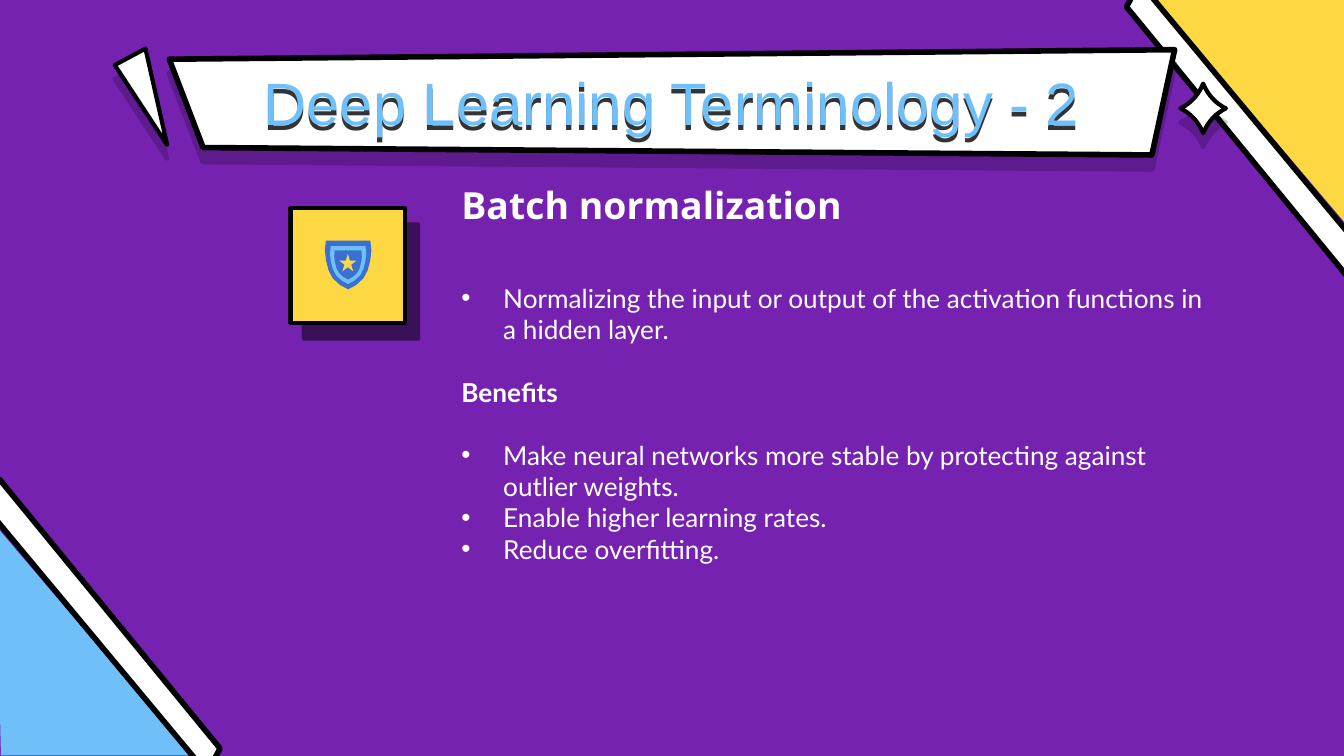
from lxml import etree
from pptx import Presentation
from pptx import util as u
from pptx.dml.color import RGBColor
from pptx.enum import shapes, text
from pptx.oxml.ns import qn

PURPLE, WHITE, BLACK = "7622B1", "FFFFFF", "000000"
YELLOW, SKY, BLUE = "FDD843", "6FBFF8", "3A70D1"


def rgb(value):
    return RGBColor.from_string(value)


def write(paragraph, content, font="Lato", size=14, color=WHITE, bold=False,
          align=text.PP_ALIGN.LEFT, before=0, after=0):
    paragraph.alignment = align
    paragraph.space_before, paragraph.space_after = u.Pt(before), u.Pt(after)
    run = paragraph.add_run()
    run.text = content
    run.font.name, run.font.size, run.font.bold = font, u.Pt(size), bold
    run.font.color.rgb = rgb(color)


def set_bullet(paragraph, char=None, indent=0.79):
    """Give the paragraph a hanging bullet, or none when char is missing."""
    props = paragraph._p.get_or_add_pPr()
    hang = u.Cm(indent) if char else 0
    props.set("marL", str(hang))
    props.set("indent", str(-hang))
    if not char:
        etree.SubElement(props, qn("a:buNone"))
        return
    tint = etree.SubElement(props, qn("a:buClr"))
    etree.SubElement(tint, qn("a:srgbClr"), val=WHITE)
    etree.SubElement(props, qn("a:buFont"), typeface="Arial")
    etree.SubElement(props, qn("a:buChar"), char=char)


class ComicSlide:
    def __init__(self, slide):
        self.slide = slide
        slide.background.fill.solid()
        slide.background.fill.fore_color.rgb = rgb(PURPLE)

    def add_shadow(self, shape, alpha, distance, angle):
        effects = shape._element.spPr.find(qn("a:effectLst"))
        shadow = etree.SubElement(
            effects, qn("a:outerShdw"), dist=str(u.Pt(distance)),
            dir=str(angle * 60000), algn="bl", rotWithShape="0")
        tint = etree.SubElement(shadow, qn("a:srgbClr"), val=BLACK)
        etree.SubElement(tint, qn("a:alpha"), val=str(alpha * 1000))

    def paint(self, shape, fill, outline=None, shadow=None):
        shape.shadow.inherit = False
        shape.fill.solid()
        shape.fill.fore_color.rgb = rgb(fill)
        if outline:
            shape.line.width = u.Pt(outline)
            shape.line.color.rgb = rgb(BLACK)
            etree.SubElement(shape.line._get_or_add_ln(), qn("a:round"))
        else:
            shape.line.fill.background()
        if shadow:
            self.add_shadow(shape, *shadow)

    def outline(self, *contours, **look):
        first, *others = [[(u.Cm(x), u.Cm(y)) for x, y in c] for c in contours]
        builder = self.slide.shapes.build_freeform(*first[0])
        builder.add_line_segments(first[1:], close=True)
        for contour in others:
            builder.move_to(*contour[0])
            builder.add_line_segments(contour[1:], close=True)
        self.paint(builder.convert_to_shape(), **look)

    def preset(self, kind, left, top, size, **look):
        shape = self.slide.shapes.add_shape(
            kind, u.Cm(left), u.Cm(top), u.Cm(size), u.Cm(size))
        self.paint(shape, **look)

    def placeholder(self, index, left, top, width, height):
        """Format a template placeholder and bring it in front of the art."""
        holder = self.slide.placeholders[index]
        self.slide.shapes._spTree.append(holder._element)
        holder.left, holder.top = u.Cm(left), u.Cm(top)
        holder.width, holder.height = u.Cm(width), u.Cm(height)
        frame = holder.text_frame
        frame.word_wrap, frame.auto_size = True, text.MSO_AUTO_SIZE.NONE
        frame.vertical_anchor = text.MSO_ANCHOR.MIDDLE
        frame.margin_left = frame.margin_right = u.Cm(0.25)
        frame.margin_top = frame.margin_bottom = u.Cm(0.25)
        return holder


def half_turn(points):
    return [(25.45 - x, 14.28 - y) for x, y in points]


def sparkle(cx, cy, rx, ry, pinch=0.62, steps=12):
    """Four tips joined by quadratic curves pulled towards the centre."""
    tips = [(cx, cy - ry), (cx + rx, cy), (cx, cy + ry), (cx - rx, cy)]
    points = []
    for (x0, y0), (x1, y1) in zip(tips, tips[1:] + tips[:1]):
        bend_x = cx + pinch * ((x0 + x1) / 2 - cx)
        bend_y = cy + pinch * ((y0 + y1) / 2 - cy)
        for t in (step / steps for step in range(steps)):
            a, b, c = (1 - t) ** 2, 2 * t * (1 - t), t * t
            points.append((a * x0 + b * bend_x + c * x1,
                           a * y0 + b * bend_y + c * y1))
    return points


def shield(scale, cx=6.58, cy=5.01):
    left = [(-0.42, -0.46), (-0.44, -0.28), (-0.42, -0.1), (-0.37, 0.1),
            (-0.29, 0.25), (-0.15, 0.38), (0, 0.46)]
    right = [(-x, y) for x, y in reversed(left[:-1])]
    return [(cx + scale * x, cy + scale * y) for x, y in left + right]


def main():
    deck = Presentation()
    deck.slide_width, deck.slide_height = u.Cm(25.4), u.Cm(14.29)
    slide = deck.slides.add_slide(deck.slide_layouts[3])
    comic = ComicSlide(slide)

    # Opposite corners, the lower one being the upper one turned by 180 degrees
    corner = [(25.43, 0), (21.84, 0), (25.53, 4.34)]
    band = [(21.29, 0.13), (25.45, 5.21), (25.81, 4.8), (21.54, -0.33)]
    for color, turn in ((YELLOW, list), (SKY, half_turn)):
        comic.outline(turn(corner), fill=color)
        comic.outline(turn(band), fill=WHITE, outline=3)

    # Title banner with its ornaments
    soft = (20, 7.5, 90)
    banner = [(3.84, 2.79), (3.2, 1.12), (22.2, 0.94), (21.77, 2.93)]
    shard = [(2.17, 1.23), (2.75, 0.92), (3.16, 2.74)]
    comic.outline(banner, fill=WHITE, outline=3, shadow=soft)
    comic.outline(shard, fill=WHITE, outline=2.25, shadow=soft)
    comic.outline(sparkle(22.74, 2.05, 0.43, 0.47), fill=WHITE, outline=2.25,
                  shadow=soft)

    # Title
    title = comic.placeholder(0, 1.98, 1.55, 21.44, 0.76)
    title.shadow.inherit = False
    comic.add_shadow(title, 80, 2.25, 90)
    write(title.text_frame.paragraphs[0], "Deep Learning Terminology - 2",
          font="Arial", size=32, color=SKY, align=text.PP_ALIGN.CENTER)

    # Topic
    topic = comic.placeholder(1, 8.47, 3.45, 10.49, 0.84).text_frame.paragraphs[0]
    write(topic, "Batch normalization", font="Open Sans", size=20, bold=True)
    set_bullet(topic)

    # Explanation and benefits
    explanation = comic.placeholder(2, 8.47, 7.24, 14.81, 1.52).text_frame
    gap = 16.8
    lines = [
        ("Normalizing the input or output of the activation functions in a hidden layer.", "•", {}),
        ("Benefits", None, {"bold": True, "before": gap, "after": gap}),
        ("Make neural networks more stable by protecting against outlier weights.", "•", {}),
        ("Enable higher learning rates.", "•", {}),
        ("Reduce overfitting.", "•", {}),
    ]
    for number, (line, bullet, style) in enumerate(lines):
        paragraph = explanation.add_paragraph() if number else explanation.paragraphs[0]
        write(paragraph, line, **style)
        set_bullet(paragraph, bullet)

    # Shield badge
    comic.preset(shapes.MSO_SHAPE.RECTANGLE, 5.49, 3.94, 2.16, fill=YELLOW,
                 outline=2.25, shadow=(50, 11.2, 50))
    comic.outline(shield(1), fill=BLUE)
    comic.outline(shield(0.78), shield(0.6)[::-1], fill=SKY)
    comic.preset(shapes.MSO_SHAPE.STAR_5_POINT, 6.41, 4.8, 0.33, fill=YELLOW)

    deck.save("out.pptx")


if __name__ == "__main__":
    main()
